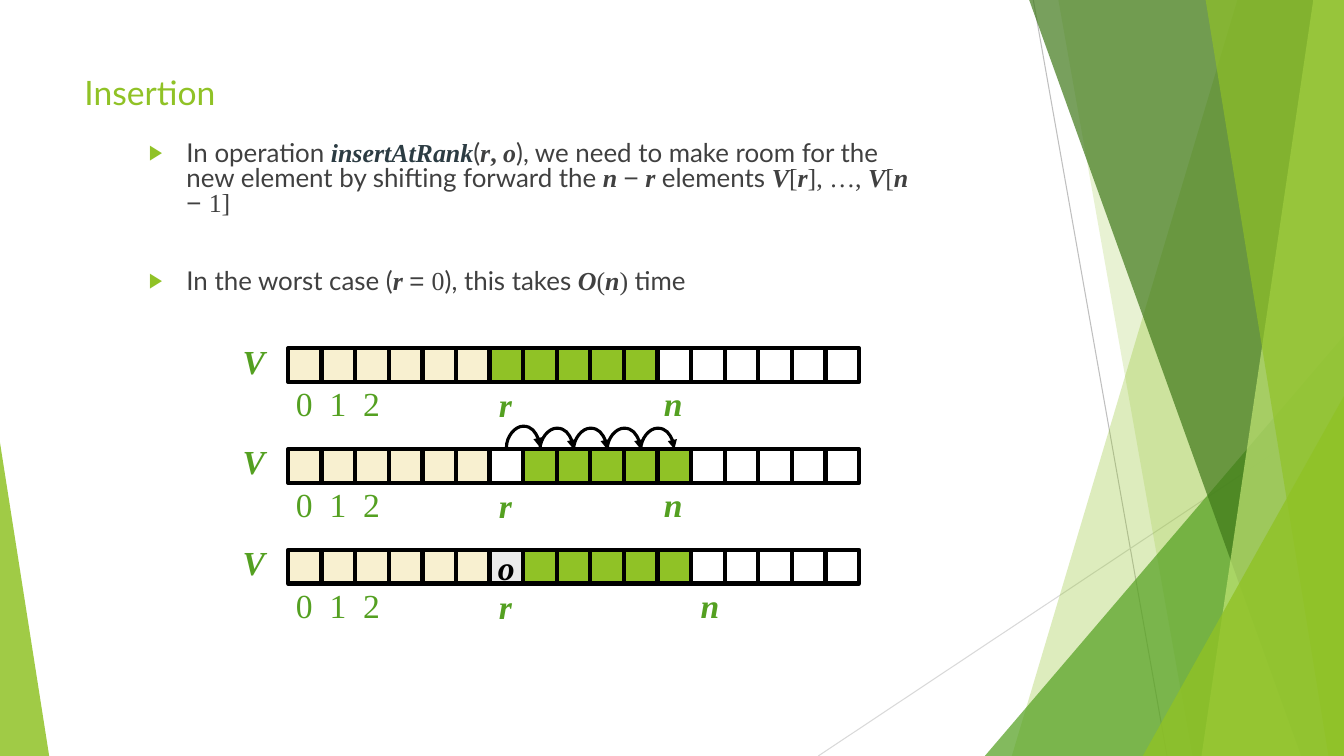
import pptx
import pptx.util
import pptx.dml.color
import pptx.enum.shapes
import pptx.enum.text
import pptx.oxml
import pptx.oxml.ns
import lxml.etree
from dataclasses import dataclass

Cm, Pt = pptx.util.Cm, pptx.util.Pt
SHAPE = pptx.enum.shapes.MSO_SHAPE
CONNECTOR = pptx.enum.shapes.MSO_CONNECTOR
ALIGN = pptx.enum.text.PP_ALIGN
ANCHOR = pptx.enum.text.MSO_ANCHOR


@dataclass(frozen=True)
class Theme:
    lime: str = "90C226"
    green: str = "54A021"
    forest: str = "3F7819"
    pale_lime: str = "C0E474"
    cream: str = "F8F0D0"
    white: str = "FFFFFF"
    mist: str = "EBEBEB"
    black: str = "000000"
    ink: str = "404040"
    slate: str = "2C3C43"
    dark_rule: str = "BFBFBF"
    light_rule: str = "D9D9D9"
    sans: str = "Lato"
    symbol: str = "Arial"
    serif: str = "Times New Roman"
    heading_size: float = 24
    body_size: float = 18.5


def rgb(code):
    return pptx.dml.color.RGBColor.from_string(code)


def add_xml(parent, tag, **attributes):
    return lxml.etree.SubElement(parent, pptx.oxml.ns.qn(tag), attributes)


class SlideBuilder:
    def __init__(self, slide, theme):
        self.shapes = slide.shapes
        self.theme = theme

    def paint(self, shape, fill, alpha=None, border=None):
        shape.shadow.inherit = False
        shape.fill.solid()
        shape.fill.fore_color.rgb = rgb(fill)
        if alpha:
            color = shape.fill._xPr.find(".//" + pptx.oxml.ns.qn("a:srgbClr"))
            add_xml(color, "a:alpha", val=str(alpha * 1000))
        if border:
            shape.line.color.rgb = rgb(self.theme.black)
            shape.line.width = Pt(border)
        else:
            shape.line.fill.background()

    def polygon(self, points, fill, alpha):
        first, *others = [(Cm(x), Cm(y)) for x, y in points]
        outline = self.shapes.build_freeform(*first)
        outline.add_line_segments(others, close=True)
        self.paint(outline.convert_to_shape(), fill, alpha)

    def triangle(self, left, top, width, height, apex, fill, alpha):
        facet = self.shapes.add_shape(SHAPE.ISOSCELES_TRIANGLE, Cm(left), Cm(top), Cm(width), Cm(height))
        facet.adjustments[0] = apex
        self.paint(facet, fill, alpha)

    def cell(self, left, top, size, fill):
        square = self.shapes.add_shape(SHAPE.RECTANGLE, Cm(left), Cm(top), Cm(size), Cm(size))
        self.paint(square, fill, border=3)
        return square

    def style_line(self, connector, color, width):
        connector.line.color.rgb = rgb(color)
        connector.line.width = Pt(width)
        add_xml(connector._element.spPr, "a:effectLst")

    def rule(self, start, end, color):
        points = [Cm(value) for value in (*start, *end)]
        self.style_line(self.shapes.add_connector(CONNECTOR.STRAIGHT, *points), color, 0.75)

    def hop(self, left, y, span):
        """Draw an arched arrow: a thin upright curve, turned a quarter."""
        middle, half, thickness = Cm(left + span / 2), Cm(span / 2), 1588
        arc = self.shapes.add_connector(CONNECTOR.CURVE, middle, Cm(y) + half, middle + thickness, Cm(y) - half)
        self.style_line(arc, self.theme.black, 2.25)
        properties = arc._element.spPr
        properties.xfrm.set("rot", "5400000")
        guides = properties.find(".//" + pptx.oxml.ns.qn("a:avLst"))
        add_xml(guides, "a:gd", name="adj1", fmla="val -13200000")
        add_xml(arc.line._get_or_add_ln(), "a:tailEnd", type="triangle")

    def text_box(self, left, top, width, height, wrap=True, inset=True):
        frame = self.shapes.add_textbox(Cm(left), Cm(top), Cm(width), Cm(height)).text_frame
        frame.word_wrap = wrap
        if not inset:
            frame.margin_left = frame.margin_right = frame.margin_top = frame.margin_bottom = 0
        return frame

    def run(self, paragraph, words, font, size, color, bold=False, italic=False):
        piece = paragraph.add_run()
        piece.text = words
        piece.font.name, piece.font.size = font, Pt(size)
        piece.font.color.rgb = rgb(color)
        piece.font.bold, piece.font.italic = bold, italic

    def label(self, words, left, top, width, variable=True):
        frame = self.text_box(left, top, width, 1.02, wrap=variable, inset=False)
        paragraph = frame.paragraphs[0]
        paragraph.alignment = ALIGN.CENTER if variable else ALIGN.LEFT
        self.run(paragraph, words, self.theme.serif, self.theme.heading_size, self.theme.green, variable, variable)

    def bullet(self, paragraph, pieces):
        """Fill a bulleted paragraph from (style, words) pairs."""
        theme = self.theme
        styles = {
            "plain": (theme.sans, theme.ink, False, False),
            "sign": (theme.symbol, theme.ink, False, False),
            "math": (theme.serif, theme.ink, False, False),
            "comma": (theme.serif, theme.ink, True, False),
            "var": (theme.serif, theme.ink, True, True),
            "method": (theme.serif, theme.slate, True, True),
        }
        paragraph.line_spacing = 0.8
        properties = paragraph._p.get_or_add_pPr()
        properties.set("marL", str(Cm(0.95)))
        properties.set("indent", str(-Cm(0.95)))
        add_xml(add_xml(properties, "a:buClr"), "a:srgbClr", val=theme.lime)
        add_xml(properties, "a:buSzPct", val="80000")
        add_xml(properties, "a:buFont", typeface=theme.symbol)
        add_xml(properties, "a:buChar", char="▶")
        for style, words in pieces:
            font, color, bold, italic = styles[style]
            self.run(paragraph, words, font, theme.body_size, color, bold, italic)


WIDTH, HEIGHT = 33.87, 19.05
ROW_LEFT, ROW_TOP, ROW_STEP = 7.26, 8.78, 2.54
CELL = 14.39 / 17
INSERT_RANK = 6

SHIFTING = [
    ("plain", "In operation "), ("method", "insertAtRank"), ("plain", "("), ("var", "r"), ("comma", ","),
    ("var", " o"), ("plain", "), we need to make room for the new element by shifting forward the "),
    ("var", "n "), ("sign", "−"), ("var", " r"), ("plain", " elements "), ("var", "V"), ("math", "["),
    ("var", "r"), ("math", "], …, "), ("var", "V"), ("math", "["), ("var", "n "), ("sign", "− "), ("math", "1]"),
]
WORST_CASE = [
    ("plain", "In the worst case ("), ("var", "r "), ("sign", "= "), ("math", "0"), ("plain", "), this takes "),
    ("var", "O"), ("math", "("), ("var", "n"), ("math", ")"), ("plain", " time"),
]


def cell_left(rank):
    return ROW_LEFT + rank * CELL


def draw_backdrop(builder):
    theme = builder.theme

    def band(top_x, bottom_x, fill, alpha):
        """Fill from a slanted left edge to the right side of the slide."""
        corners = [(top_x, -0.02), (WIDTH, -0.02), (WIDTH, HEIGHT), (bottom_x, HEIGHT)]
        builder.polygon(corners, fill, alpha)

    builder.rule((26.04, 0), (29.41, HEIGHT), theme.dark_rule)
    builder.rule((WIDTH, 10.24), (20.62, HEIGHT), theme.light_rule)
    band(31.19, 25.5, theme.lime, 30)
    band(26.67, 30.05, theme.lime, 20)
    builder.triangle(24.82, 8.46, 9.05, 10.59, 1, theme.green, 72)
    band(25.93, 32.79, theme.forest, 70)
    band(33.1, 30.28, theme.pale_lime, 70)
    band(30.38, 33.48, theme.lime, 65)
    builder.triangle(28.8, 9.98, 5.07, 9.07, 1, theme.lime, 80)
    builder.triangle(0, 11.15, 1.24, 7.9, 0, theme.lime, 85)


def draw_vector(builder, top, fills, size_left):
    builder.label("V", 5.99, top - 0.2, 0.81)
    for rank in range(3):
        builder.label(str(rank), cell_left(rank) + 0.2, top + 0.87, 0.43, variable=False)
    builder.label("n", size_left, top + 0.87, 0.79)
    cells = [builder.cell(cell_left(rank), top, CELL, fill) for rank, fill in enumerate(fills)]
    builder.label("r", cell_left(INSERT_RANK), top + 0.9, 0.79)
    return cells


def main():
    deck = pptx.Presentation()
    deck.slide_width, deck.slide_height = Cm(WIDTH), Cm(HEIGHT)
    theme = Theme()
    builder = SlideBuilder(deck.slides.add_slide(deck.slide_layouts[6]), theme)
    draw_backdrop(builder)

    title = builder.text_box(1.88, 1.7, 23.88, 3.66).paragraphs[0]
    builder.run(title, "Insertion", theme.sans, theme.heading_size, theme.lime)
    body = builder.text_box(3.5, 3.48, 20.12, 4.24)
    builder.bullet(body.paragraphs[0], SHIFTING)
    worst_case = body.add_paragraph()
    worst_case.space_before = Pt(38)
    builder.bullet(worst_case, WORST_CASE)

    kept, moved, free = [theme.cream] * INSERT_RANK, [theme.lime] * 5, [theme.white] * 5
    before = kept + moved + [theme.white] + free
    shifted = kept + [theme.white] + moved + free
    inserted = kept + [theme.mist] + moved + free
    draw_vector(builder, ROW_TOP, before, cell_left(11))
    draw_vector(builder, ROW_TOP + ROW_STEP, shifted, cell_left(11))
    final_cells = draw_vector(builder, ROW_TOP + 2 * ROW_STEP, inserted, cell_left(12) + 0.08)

    new_element = final_cells[INSERT_RANK].text_frame
    new_element.word_wrap = False
    new_element.vertical_anchor = ANCHOR.MIDDLE
    new_element.paragraphs[0].alignment = ALIGN.CENTER
    builder.run(new_element.paragraphs[0], "o", theme.serif, theme.heading_size, theme.black, True, True)

    for step in range(len(moved)):
        hop_y = ROW_TOP + ROW_STEP - (0.05 if step == 0 else 0)
        builder.hop(cell_left(INSERT_RANK + step + 0.5), hop_y, CELL)
    deck.save("out.pptx")


if __name__ == "__main__":
    main()
